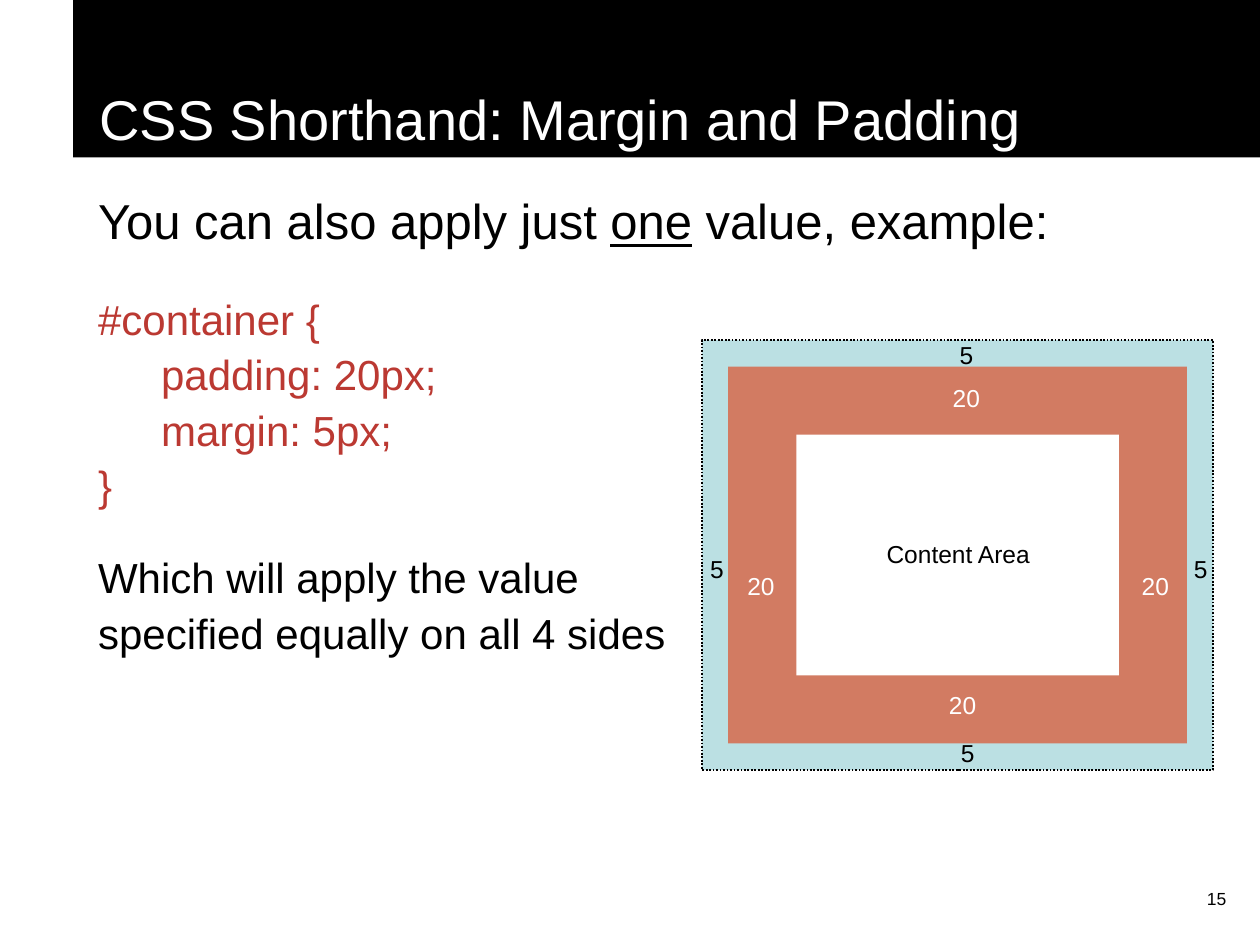
from dataclasses import dataclass

from lxml.etree import SubElement
from pptx import Presentation
from pptx.dml.color import RGBColor
from pptx.enum.dml import MSO_LINE_DASH_STYLE as Dash
from pptx.enum.shapes import MSO_SHAPE as Shape
from pptx.enum.text import MSO_ANCHOR as Anchor, MSO_AUTO_SIZE as AutoSize, PP_ALIGN as Align
from pptx.oxml.ns import qn
from pptx.util import Inches, Pt


@dataclass(frozen=True)
class Theme:
    font: str = "Arial"
    black: str = "000000"
    white: str = "FFFFFF"
    code: str = "BB3932"
    margin: str = "BBE0E3"
    padding: str = "D27B62"
    title_size: int = 32
    lead_size: int = 28
    body_size: int = 24
    label_size: int = 14
    number_size: int = 10


@dataclass(frozen=True)
class Box:
    left: float
    top: float
    width: float
    height: float

    def inset(self, gap: float) -> "Box":
        return Box(self.left + gap, self.top + gap, self.width - 2 * gap, self.height - 2 * gap)

    def lengths(self) -> list:
        return [Inches(value) for value in (self.left, self.top, self.width, self.height)]


@dataclass(frozen=True)
class Label:
    text: str
    left: float
    top: float
    color: str
    width: float = 0.94


@dataclass(frozen=True)
class BodyText:
    text: str
    size: int
    color: str
    before: float
    after: float


THEME = Theme()
MARGIN_BOX = Box(5.57, 2.7, 4.06, 3.41)
MARGIN_GAP = 0.21
PADDING_GAP = 0.54
LABEL_HEIGHT = 0.34

LABELS = [
    Label("Content Area", 6.43, 4.23, THEME.black, 2.35),
    Label("5", 7.21, 5.81, THEME.black),
    Label("5", 5.22, 4.35, THEME.black),
    Label("5", 9.06, 4.35, THEME.black),
    Label("20", 5.57, 4.48, THEME.white),
    Label("20", 8.7, 4.48, THEME.white),
    Label("20", 7.17, 5.43, THEME.white),
    Label("20", 7.2, 2.99, THEME.white),
    Label("5", 7.2, 2.65, THEME.black),
]

BODY = [
    BodyText("You can also apply just |one| value, example:", THEME.lead_size, THEME.black, 0, 7),
    BodyText("#container {\v\tpadding: 20px;\v\tmargin: 5px;\v}", THEME.body_size, THEME.code, 15, 6),
    BodyText("Which will apply the value\vspecified equally on all 4 sides",
             THEME.body_size, THEME.black, 15, 6),
]


def style(paragraph, size: int, color: str) -> None:
    paragraph.font.name = THEME.font
    paragraph.font.size = Pt(size)
    paragraph.font.color.rgb = RGBColor.from_string(color)


def indent(paragraph, inches: float) -> None:
    properties = paragraph._p.get_or_add_pPr()
    properties.set("marL", str(Inches(inches)))
    properties.set("indent", "0")


def add_rectangle(slide, box: Box, fill: str):
    shape = slide.shapes.add_shape(Shape.RECTANGLE, *box.lengths())
    shape.shadow.inherit = False
    shape.fill.solid()
    shape.fill.fore_color.rgb = RGBColor.from_string(fill)
    shape.line.fill.background()
    return shape


def add_text(slide, box: Box, text: str, size: int, color: str, align: Align):
    shape = slide.shapes.add_textbox(*box.lengths())
    shape.text_frame.word_wrap = True
    paragraph = shape.text_frame.paragraphs[0]
    paragraph.text = text
    paragraph.alignment = align
    style(paragraph, size, color)
    return shape


def add_title(slide, text: str) -> None:
    banner = add_rectangle(slide, Box(0.58, 0, 9.42, 1.25), THEME.black)
    banner.text_frame.vertical_anchor = Anchor.BOTTOM
    paragraph = banner.text_frame.paragraphs[0]
    paragraph.text = text
    paragraph.alignment = Align.LEFT
    indent(paragraph, 0.11)
    style(paragraph, THEME.title_size, THEME.white)


def add_body(slide, items: list[BodyText]) -> None:
    frame = slide.shapes.add_textbox(*Box(0.58, 1.42, 9.08, 3.9).lengths()).text_frame
    frame.word_wrap = True
    for index, item in enumerate(items):
        paragraph = frame.add_paragraph() if index else frame.paragraphs[0]
        if "|" in item.text:
            for position, part in enumerate(item.text.split("|")):
                run = paragraph.add_run()
                run.text = part
                if position % 2:
                    run.font.underline = True
        else:
            paragraph.text = item.text
        paragraph.line_spacing = 1.1
        paragraph.space_before = Pt(item.before)
        paragraph.space_after = Pt(item.after)
        indent(paragraph, 0.1)
        tabs = SubElement(paragraph._p.get_or_add_pPr(), qn("a:tabLst"))
        SubElement(tabs, qn("a:tab"), pos=str(Inches(1)), algn="l")
        style(paragraph, item.size, item.color)


def add_box_model(slide) -> None:
    padding_box = MARGIN_BOX.inset(MARGIN_GAP)
    margin = add_rectangle(slide, MARGIN_BOX, THEME.margin)
    margin.line.color.rgb = RGBColor.from_string(THEME.black)
    margin.line.width = Pt(1)
    margin.line.dash_style = Dash.ROUND_DOT
    add_rectangle(slide, padding_box, THEME.padding)
    add_rectangle(slide, padding_box.inset(PADDING_GAP), THEME.white)
    for label in LABELS:
        box = Box(label.left, label.top, label.width, LABEL_HEIGHT)
        shape = add_text(slide, box, label.text, THEME.label_size, label.color, Align.CENTER)
        shape.text_frame.auto_size = AutoSize.SHAPE_TO_FIT_TEXT


def main() -> None:
    presentation = Presentation()
    presentation.slide_width = Inches(10)
    presentation.slide_height = Inches(7.5)
    slide = presentation.slides.add_slide(presentation.slide_layouts[6])
    add_text(slide, Box(7.75, 7, 2.08, 0.5), "15", THEME.number_size, THEME.black, Align.RIGHT)
    add_title(slide, "CSS Shorthand: Margin and Padding")
    add_body(slide, BODY)
    add_box_model(slide)
    presentation.save("out.pptx")


if __name__ == "__main__":
    main()
